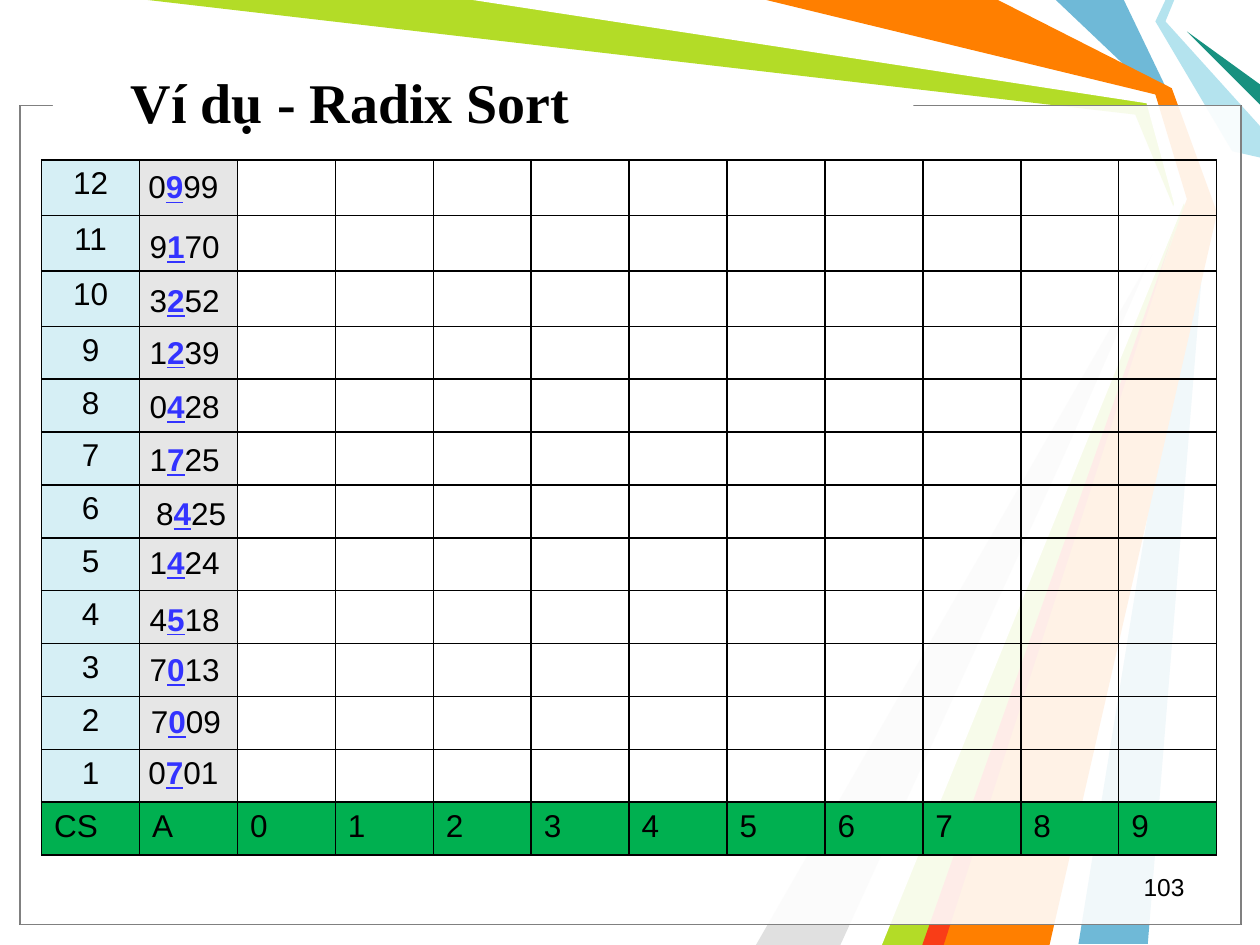
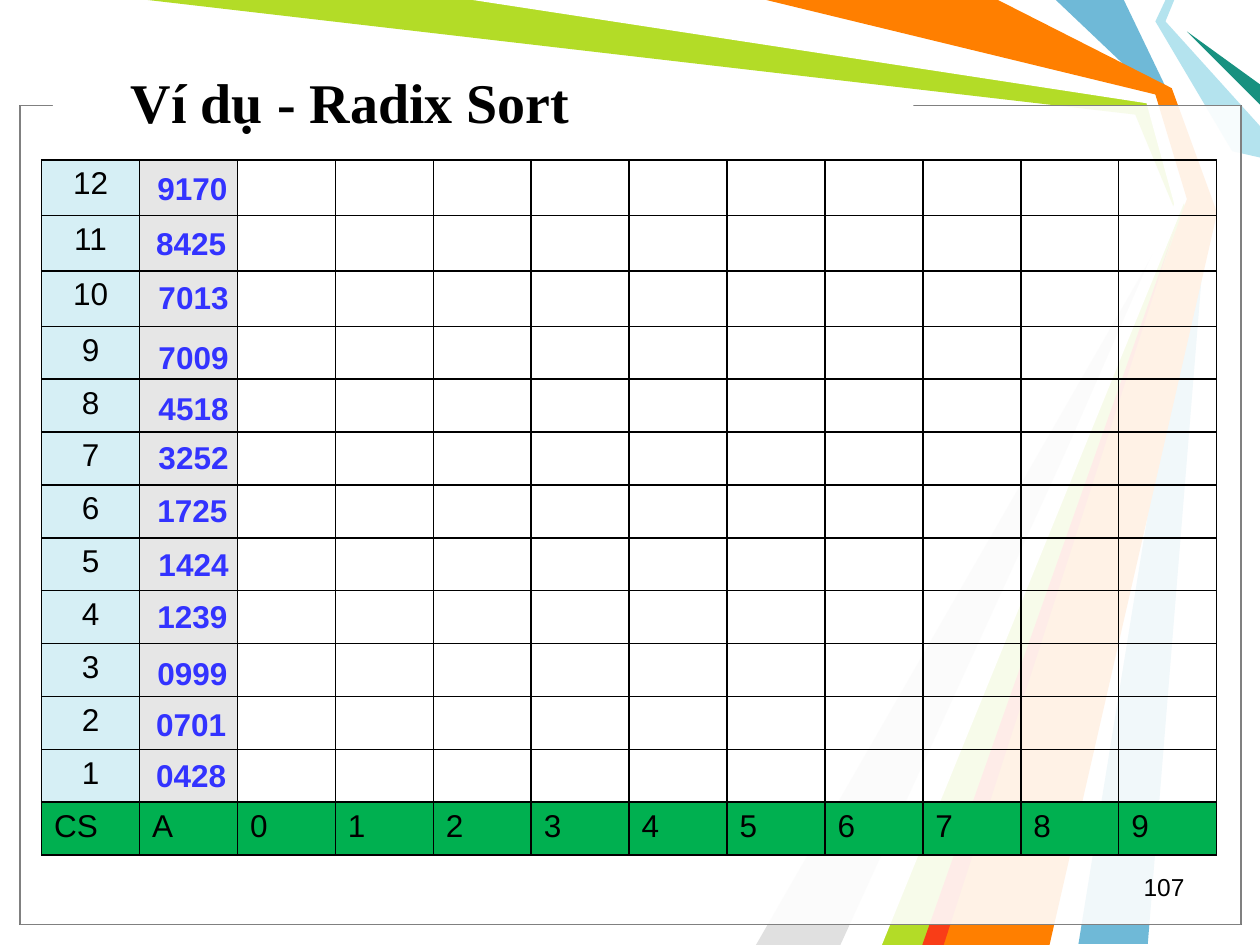
from pptx import Presentation
from pptx.dml.color import RGBColor as RGB
from pptx.enum.shapes import MSO_SHAPE as SHAPE
from pptx.enum.text import MSO_ANCHOR as ANCHOR, MSO_AUTO_SIZE as AUTO, PP_ALIGN as ALIGN
from pptx.oxml.ns import qn
from pptx.util import Inches, Pt
from lxml.etree import SubElement as Sub

HUES = {
    "sky": "6FB9D7", "lime": "B3DC27", "ash": "E0E0E0", "white": "FFFFFF",
    "ice": "B4E3EE", "teal": "189180", "orange": "FF7F00", "red": "F93D17",
    "black": "000000", "gray": "808080", "index": "D6EFF5", "array": "E6E6E6",
    "foot": "00B050", "mark": "3333FF",
}
TITLE = {"name": "Times New Roman", "size": Pt(32), "bold": True}
PAGE = {"name": "Arial", "size": Pt(14)}
PLAIN = {"name": "Arial", "size": Pt(18), "bold": False}
BOLD = {**PLAIN, "bold": True}
DIGIT = {**BOLD, "underline": True}

RAYS = [
    ("sky", [(8.92, 0), (9.29, 0.77), (9.58, 1.67), (9.11, 7.49), (8.56, 7.49),
             (9.5, 1.67), (9.17, 0.75), (8.38, 0)]),
    ("lime", [(1.17, 0), (3.83, 0), (9.14, 0.78), (9.42, 1.69), (7.42, 7.5),
              (6.92, 7.5), (9.35, 1.73), (9.01, 0.91)]),
    ("ash", [(6.67, 7.5), (9.27, 1.81), (6, 7.5)]),
    ("white", [(3.75, 0), (9.1, 0.82), (9.32, 1.62), (6.75, 7.5), (7, 7.5),
               (9.41, 1.58), (9.17, 0.75), (6, 0)]),
    ("ice", [(9.25, 0), (9.17, 0.17), (9.78, 1.2), (10, 1.25), (10, 1),
             (9.25, 0.17), (9.32, 0)]),
    ("teal", [(10, 0.83), (9.42, 0.25), (10, 0.67)]),
    ("orange", [(6.08, 0), (7.92, 0), (9.3, 0.7), (9.66, 1.69), (8.33, 7.5),
                (7.33, 7.5), (9.42, 1.58), (9.17, 0.75)]),
    ("red", [(7.32, 7.5), (9.32, 1.83), (7.49, 7.5)]),
]

ROWS = [0.44] * 3 + [0.42] * 10
HEADS = ["CS", "A", *map(str, range(10))]

STEPS = [
    ("103", True, [
        ("0999", 1.08, 1.28), ("9170", 1.09, 1.75), ("3252", 1.09, 2.18),
        ("1239", 1.09, 2.59), ("0428", 1.09, 3.02), ("1725", 1.09, 3.44),
        ("8425", 1.14, 3.87), ("1424", 1.09, 4.26), ("4518", 1.09, 4.71),
        ("7013", 1.09, 5.11), ("7009", 1.1, 5.52), ("0701", 1.08, 5.93)]),
    ("107", False, [
        ("9170", 1.15, 1.29), ("8425", 1.14, 1.73), ("7013", 1.16, 2.16),
        ("7009", 1.16, 2.63), ("4518", 1.16, 3.04), ("3252", 1.16, 3.43),
        ("1725", 1.15, 3.85), ("1424", 1.16, 4.28), ("1239", 1.15, 4.69),
        ("0999", 1.15, 5.14), ("0701", 1.14, 5.55), ("0428", 1.14, 5.95)]),
]


def hue(name):
    return RGB.from_string(HUES[name])


def paint(shape, fill, line=None):
    shape.shadow.inherit = False
    shape.fill.solid()
    shape.fill.fore_color.rgb = hue(fill)
    if line:
        shape.line.color.rgb = hue(line)
        shape.line.width = Pt(0.75)
    else:
        shape.line.fill.background()


def add_ray(slide, fill, spots):
    (left, top), *rest = [(Inches(x), Inches(y)) for x, y in spots]
    pen = slide.shapes.build_freeform(left, top)
    pen.add_line_segments(rest, close=True)
    paint(pen.convert_to_shape(), fill)


def add_rect(slide, place, fill, line=None, alpha=None):
    rect = slide.shapes.add_shape(SHAPE.RECTANGLE, *map(Inches, place))
    paint(rect, fill, line)
    if alpha:
        tint = rect.fill._xPr.find(qn("a:solidFill"))[0]
        Sub(tint, qn("a:alpha"), val=str(alpha * 1000))


def add_run(para, text, look, color="black"):
    run = para.add_run()
    run.text = text
    for key, value in look.items():
        setattr(run.font, key, value)
    run.font.color.rgb = hue(color)


def add_text(slide, place, runs, align=ALIGN.LEFT, **frame):
    box = slide.shapes.add_textbox(*map(Inches, place)).text_frame
    for key, value in {"word_wrap": True, **frame}.items():
        setattr(box, key, value)
    para = box.paragraphs[0]
    para.alignment = align
    for run in runs:
        add_run(para, *run)


def add_edges(cell):
    props = cell._tc.get_or_add_tcPr()
    for side in "LRTB":
        edge = Sub(props, qn(f"a:ln{side}"), w=str(Pt(1)))
        Sub(Sub(edge, qn("a:solidFill")), qn("a:srgbClr"), val=HUES["black"])


def fill_cell(cell, text="", fill=None, align=ALIGN.LEFT):
    add_edges(cell)
    if fill:
        cell.fill.solid()
        cell.fill.fore_color.rgb = hue(fill)
    else:
        cell.fill.background()
    if text:
        para = cell.text_frame.paragraphs[0]
        para.alignment = align
        add_run(para, text, PLAIN)


def add_grid(slide):
    count, wide = len(ROWS), len(HEADS)
    place = map(Inches, (0.33, 1.27, 9.33, sum(ROWS)))
    grid = slide.shapes.add_table(count, wide, *place).table
    grid.first_row = grid.horz_banding = False
    for col in grid.columns:
        col.width = Inches(9.33 / wide)
    for i, high in enumerate(ROWS):
        grid.rows[i].height = Inches(high)
        for j, head in enumerate(HEADS):
            cell = grid.cell(i, j)
            if i == count - 1:
                fill_cell(cell, head, "foot")
            elif j == 0:
                fill_cell(cell, str(count - 1 - i), "index", ALIGN.CENTER)
            else:
                fill_cell(cell, fill="array" if j == 1 else None)


def add_key(slide, key, left, top, marked):
    if marked:
        runs = [(key[0], PLAIN), (key[1], DIGIT, "mark"), (key[2:], PLAIN)]
    else:
        runs = [(key, BOLD, "mark")]
    add_text(slide, (left, top, 0.76, 0.4), runs,
             word_wrap=False, auto_size=AUTO.SHAPE_TO_FIT_TEXT)


def add_frame(slide, page):
    for fill, spots in RAYS:
        add_ray(slide, fill, spots)
    for line in ("black", "gray"):
        add_rect(slide, (0.16, 0.84, 9.69, 6.5), "white", line, 69)
    add_rect(slide, (0.42, 0.74, 6.83, 0.17), "white")
    add_text(slide, (0.94, 0.53, 6.89, 0.55), [("Ví dụ - Radix Sort", TITLE)],
             vertical_anchor=ANCHOR.MIDDLE)
    add_text(slide, (7.17, 6.87, 2.33, 0.33), [(page, PAGE)], ALIGN.RIGHT)


def main():
    deck = Presentation()
    deck.slide_width, deck.slide_height = Inches(10), Inches(7.5)
    for page, marked, keys in STEPS:
        slide = deck.slides.add_slide(deck.slide_layouts[6])
        add_frame(slide, page)
        add_grid(slide)
        for key, left, top in keys:
            add_key(slide, key, left, top, marked)
    deck.save("out.pptx")


if __name__ == "__main__":
    main()
